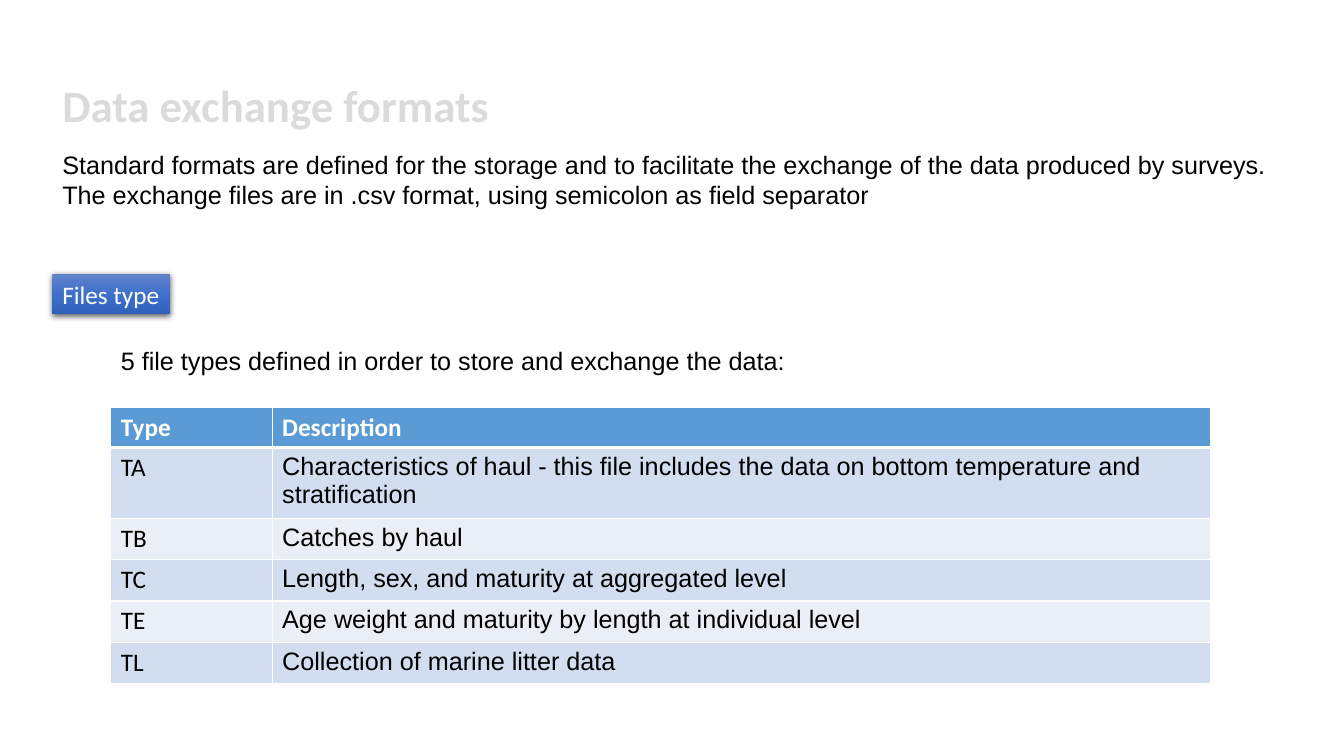
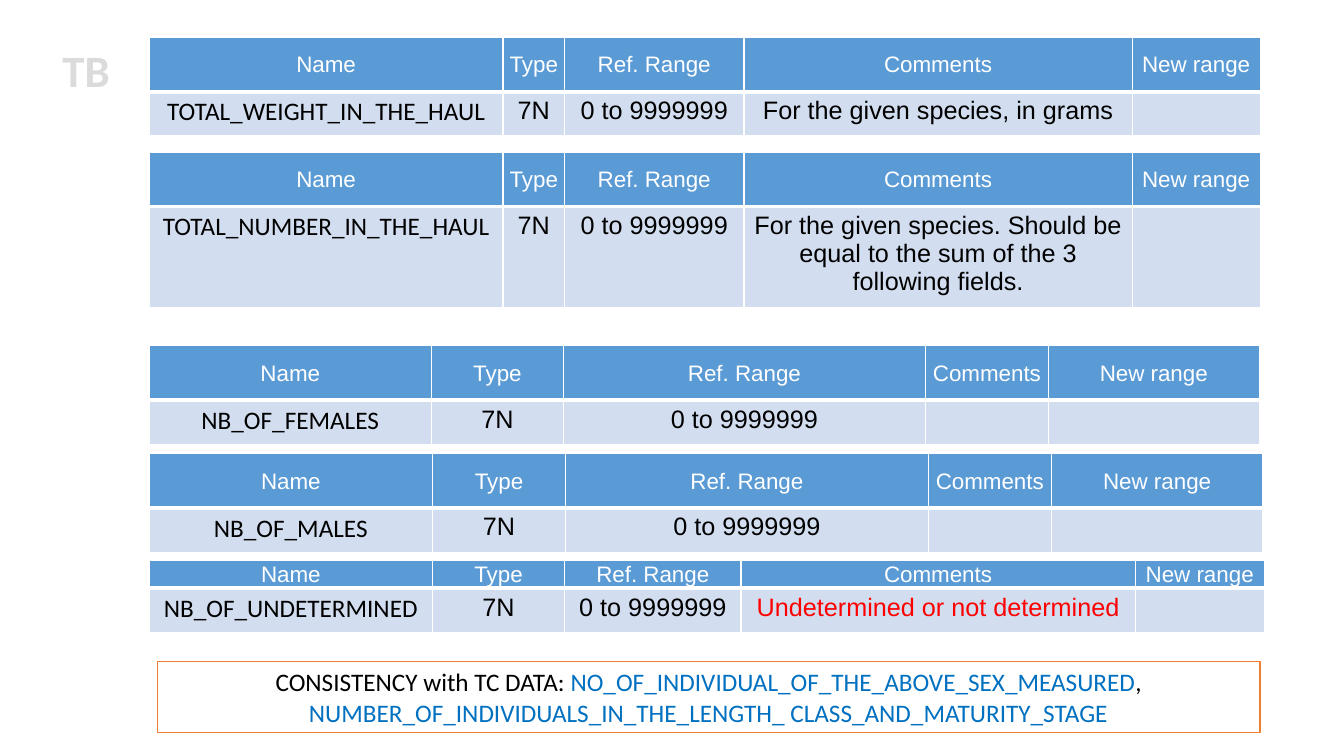
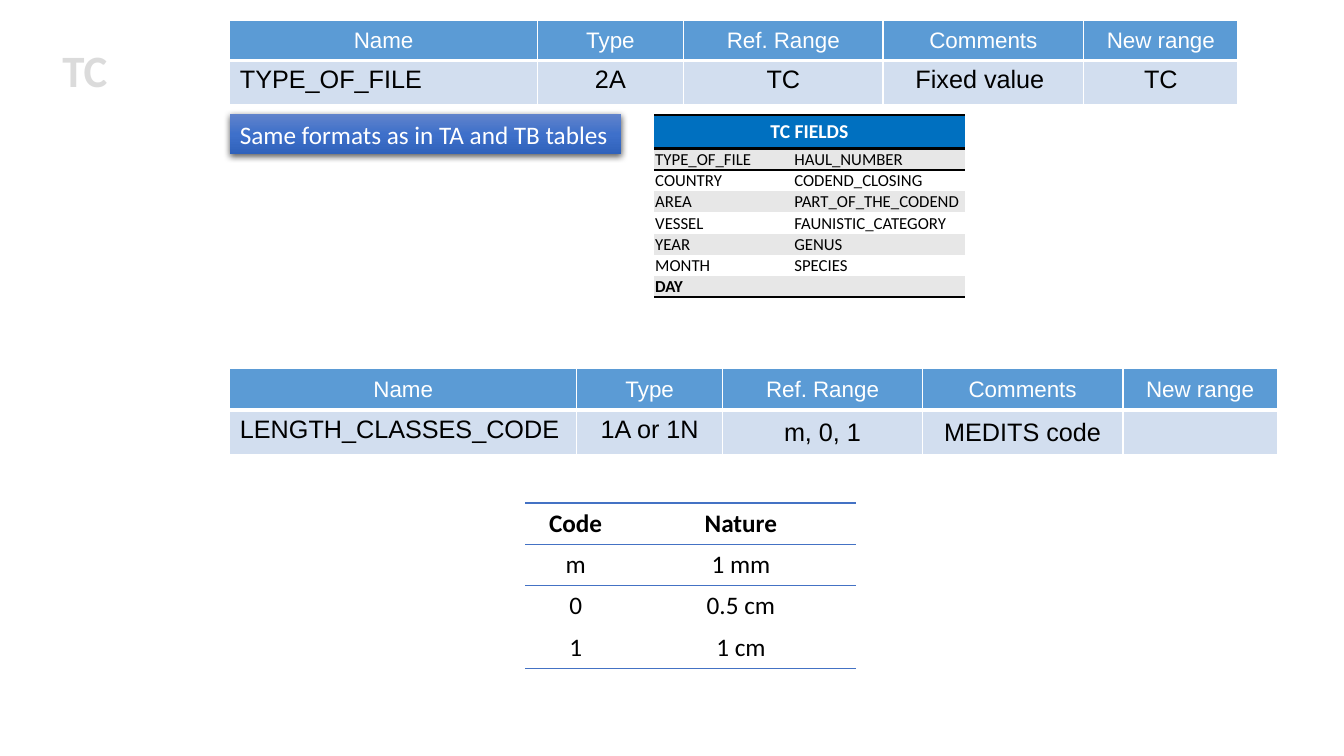
"""Build three slides on survey data exchange formats."""
import lxml.etree
import copy
import pptx
import pptx.util
import pptx.dml.color
import pptx.enum.shapes
import pptx.enum.text
import pptx.oxml.ns

qn = pptx.oxml.ns.qn
Pt = pptx.util.Pt
RGBColor = pptx.dml.color.RGBColor
LEFT = pptx.enum.text.PP_ALIGN.LEFT
CENTER = pptx.enum.text.PP_ALIGN.CENTER
TOP = pptx.enum.text.MSO_ANCHOR.TOP
MIDDLE = pptx.enum.text.MSO_ANCHOR.MIDDLE

WHITE = RGBColor(0xFF, 0xFF, 0xFF)
BLACK = RGBColor(0x00, 0x00, 0x00)
RED = RGBColor(0xFF, 0x00, 0x00)
TITLE_GREY = RGBColor(0xDB, 0xDB, 0xDB)
HEAD_BLUE = RGBColor(0x5B, 0x9B, 0xD5)
DARK_BAND = RGBColor(0xD2, 0xDE, 0xEF)
LIGHT_BAND = RGBColor(0xEA, 0xEF, 0xF7)
STRONG_BLUE = RGBColor(0x00, 0x70, 0xC0)
RULE_BLUE = RGBColor(0x44, 0x72, 0xC4)
GREY_BAND = RGBColor(0xE7, 0xE7, 0xE7)
ORANGE = RGBColor(0xED, 0x7D, 0x31)
BADGE_STOPS = [(0, RGBColor(0x61, 0x83, 0xCB)), (0.5, RGBColor(0x3E, 0x70, 0xCA)),
               (1, RGBColor(0x30, 0x62, 0xBB))]
NO_STYLE = "{2D5ABB26-0587-4C30-8999-92F81FD0307C}"

prs = pptx.Presentation()
prs.slide_width = pptx.util.Inches(13.33)
prs.slide_height = pptx.util.Inches(7.5)
COL = prs.slide_width / 100
ROW = prs.slide_height / 100


def write(tf, lines, size, font, bold=False, align=LEFT):
    for i, line in enumerate(lines):
        p = tf.add_paragraph() if i else tf.paragraphs[0]
        p.alignment = align
        for text, color in line:
            if not text:
                lxml.etree.SubElement(p._p, qn("a:endParaRPr"), sz=str(size * 100))
                continue
            r = p.add_run()
            r.text = text
            r.font.size = Pt(size)
            r.font.name = font
            r.font.bold = bold
            r.font.color.rgb = color


def add_grid(s, left, top, cols, rows):
    heights = [height for height, look, texts in rows]
    table = s.shapes.add_table(len(rows), len(cols), round(left * COL), round(top * ROW),
                               round(sum(cols) * COL), round(sum(heights) * ROW)).table
    table.first_row = table.horz_banding = False
    table._tbl.tblPr.find(qn("a:tableStyleId")).text = NO_STYLE
    for column, width in zip(table.columns, cols):
        column.width = round(width * COL)
    for row, (height, row_look, texts) in zip(table.rows, rows):
        row.height = round(height * ROW)
        for cell, item in zip(row.cells, texts):
            text, extra = item if isinstance(item, tuple) else (item, {})
            look = {**row_look, **extra}
            write(cell.text_frame, [[(text, look["color"])]], look["size"], look["font"],
                  look.get("bold", False), look.get("align", LEFT))
            cell.vertical_anchor = look.get("anchor", TOP)
            if look.get("tight"):
                cell.margin_left = cell.margin_right = cell.margin_top = pptx.util.Inches(0.01)
                cell.margin_bottom = 0
            tcPr = cell._tc.get_or_add_tcPr()
            edge_color, widths = look.get("edges", (BLACK, (0, 0, 0, 0)))
            for side, width in zip("LRTB", widths):
                if width:
                    ln = lxml.etree.SubElement(tcPr, qn("a:ln" + side), w=str(Pt(width)))
                    solid = lxml.etree.SubElement(ln, qn("a:solidFill"))
                    lxml.etree.SubElement(solid, qn("a:srgbClr"), val=str(edge_color))
            if "fill" in look:
                cell.fill.solid()
                cell.fill.fore_color.rgb = look["fill"]
            else:
                cell.fill.background()
    return table


formats, tb, tc = [prs.slides.add_slide(prs.slide_layouts[6]) for _ in range(3)]

labels = [
    (formats, "title", (3.9, 9.6, 40.5, 8.5), [[("Data exchange formats", TITLE_GREY)]]),
    (tb, "title", (3.9, 4.93, 6.6, 8.5), [[("TB", TITLE_GREY)]]),
    (tc, "title", (3.9, 4.93, 6.6, 8.5), [[("TC", TITLE_GREY)]]),
    (formats, "body", (3.9, 19.07, 92.78, 9.47), [
        [("Standard formats are defined for the storage and to facilitate the exchange "
          "of the data produced by surveys.", BLACK)],
        [("The exchange files are in .csv format, using semicolon as field separator", BLACK)]]),
    (formats, "body", (8.25, 45.07, 67.95, 5.33),
     [[("5 file types defined in order to store and exchange the data:", BLACK)]]),
    (formats, "badge", (3.9, 36.27, 8.78, 5.33), [[("Files type", WHITE)]]),
    (tc, "badge", (17.1, 15.07, 29.1, 5.33), [[("Same formats as in TA and TB tables", WHITE)]]),
    (tb, "note", (11.7, 87.47, 82.05, 9.47), [
        [("CONSISTENCY with TC DATA: ", BLACK),
         ("NO_OF_INDIVIDUAL_OF_THE_ABOVE_SEX_MEASURED", STRONG_BLUE), (",", BLACK)],
        [("NUMBER_OF_INDIVIDUALS_IN_THE_LENGTH_ CLASS_AND_MATURITY_STAGE", STRONG_BLUE)]]),
]
for s, kind, area, lines in labels:
    box = [round(share * unit) for share, unit in zip(area, (COL, ROW, COL, ROW))]
    if kind in ("title", "body"):
        sp = s.shapes.add_textbox(*box)
    else:
        sp = s.shapes.add_shape(pptx.enum.shapes.MSO_SHAPE.RECTANGLE, *box)
        sp.shadow.inherit = False
    if kind == "badge":
        sp.line.fill.background()
        sp.fill.gradient()
        sp.fill.gradient_angle = 270
        stops = sp._element.spPr.find(".//" + qn("a:gsLst"))
        stops.insert(1, copy.deepcopy(stops[0]))
        for stop, (position, color) in zip(sp.fill.gradient_stops, BADGE_STOPS):
            stop.position = position
            stop.color.rgb = color
        shadow = lxml.etree.SubElement(
            sp._element.spPr.find(qn("a:effectLst")), qn("a:outerShdw"), blurRad=str(Pt(4.5)),
            dist=str(Pt(1.5)), dir="5400000", algn="ctr", rotWithShape="0")
        black = lxml.etree.SubElement(shadow, qn("a:srgbClr"), val=str(BLACK))
        lxml.etree.SubElement(black, qn("a:alpha"), val="63000")
    if kind == "note":
        sp.fill.solid()
        sp.fill.fore_color.rgb = WHITE
        sp.line.color.rgb = ORANGE
        sp.line.width = Pt(1)
    sp.text_frame.word_wrap = kind != "badge"
    write(sp.text_frame, lines, 32 if kind == "title" else 18,
          "Arial" if kind == "body" else "Calibri", kind == "title",
          CENTER if kind == "note" else LEFT)

CALIBRI = dict(font="Calibri")
AT_LEFT = dict(align=LEFT)
TIGHT = dict(anchor=MIDDLE, tight=True)
HEAD = dict(size=16, font="Arial", color=WHITE, align=CENTER, fill=HEAD_BLUE,
            edges=(WHITE, (1, 1, 1, 3)), **TIGHT)
FIELD = dict(size=18, font="Arial", color=BLACK, align=CENTER, fill=DARK_BAND,
             edges=(WHITE, (1, 1, 3, 1)))

type_head = dict(size=18, font="Calibri", color=WHITE, bold=True, fill=HEAD_BLUE,
                 edges=(WHITE, (1, 1, 1, 3)))
type_rows = [(5.2, type_head, ["Type", "Description"])]
for i, (code, description) in enumerate([
        ("TA", "Characteristics of haul - this file includes the data on bottom temperature "
               "and stratification"),
        ("TB", "Catches by haul"),
        ("TC", "Length, sex, and maturity at aggregated level"),
        ("TE", "Age weight and maturity by length at individual level"),
        ("TL", "Collection of marine litter data")]):
    look = {**FIELD, "align": LEFT, "fill": LIGHT_BAND if i % 2 else DARK_BAND,
            "edges": (WHITE, (1, 1, 1 if i else 3, 1))}
    type_rows.append((5.47 if i else 9.2, look, [(code, CALIBRI), description]))
add_grid(formats, 8.25, 53.87, [12, 69.8], type_rows)

HEADINGS = ["Name", "Type", "Ref. Range", "Comments", "New range"]
RANGE = "0 to 9999999"
TOTAL_COLS = [26.33, 4.58, 13.35, 28.88, 9.53]
TC_COLS = [10.88, 14.85, 14.93, 11.48]
for s, left, top, cols, head_height, height, texts in [
    (tb, 11.1, 4.93, TOTAL_COLS, 7.2, 5.87,
     [("TOTAL_WEIGHT_IN_THE_HAUL", CALIBRI), "7N", RANGE, "For the given species, in grams", ""]),
    (tb, 11.1, 20.13, TOTAL_COLS, 7.2, 13.33,
     [("TOTAL_NUMBER_IN_THE_HAUL", CALIBRI), "7N", RANGE,
      "For the given species. Should be equal to the sum of the 3 following fields.", ""]),
    (tb, 11.1, 45.73, [21, 9.83, 26.93, 9.15, 15.68], 7.2, 5.87,
     [("NB_OF_FEMALES", CALIBRI), "7N", RANGE, "", ""]),
    (tb, 11.1, 60, [21.08, 9.9, 27, 9.15, 15.75], 7.2, 5.87,
     [("NB_OF_MALES", CALIBRI), "7N", RANGE, "", ""]),
    (tb, 11.1, 74.13, [21.08, 9.83, 13.13, 29.33, 9.6], 3.6, 5.87,
     [("NB_OF_UNDETERMINED", CALIBRI), "7N", RANGE,
      ("Undetermined or not determined", dict(color=RED)), ""]),
    (tc, 17.1, 2.67, [22.88] + TC_COLS, 5.33, 5.87,
     [("TYPE_OF_FILE", AT_LEFT), "2A", "TC", "Fixed value ", "TC"]),
    (tc, 17.1, 48.67, [25.8] + TC_COLS, 5.6, 5.87,
     [("LENGTH_CLASSES_CODE", AT_LEFT), "1A or 1N", ("m, 0, 1", TIGHT),
      ("MEDITS code", TIGHT), ""]),
]:
    add_grid(s, left, top, cols, [(head_height, HEAD, HEADINGS), (height, FIELD, texts)])

tc_head = dict(size=14, font="Calibri", color=WHITE, bold=True, align=CENTER, anchor=MIDDLE,
               fill=STRONG_BLUE, edges=(BLACK, (0, 0, 2, 2)))
tc_rows = [(4.45, tc_head, ["TC FIELDS", ""])]
for i, pair in enumerate([
        ["TYPE_OF_FILE", "HAUL_NUMBER"], ["COUNTRY", "CODEND_CLOSING"],
        ["AREA", "PART_OF_THE_CODEND"], ["VESSEL", "FAUNISTIC_CATEGORY"],
        ["YEAR", "GENUS"], ["MONTH", "SPECIES"], ["DAY", ""]]):
    last = pair[0] == "DAY"
    look = dict(size=12, font="Calibri", color=BLACK, bold=last,
                fill=WHITE if i % 2 else GREY_BAND,
                edges=(BLACK, (0, 0, 0 if i else 2, 2 if last else 0)), **TIGHT)
    tc_rows.append((2.81, look, pair))
fields = add_grid(tc, 48.68, 15.2, [10.35, 12.75], tc_rows)
fields.cell(0, 0).merge(fields.cell(0, 1))

code_rows = []
for pair, widths in [(["Code", "Nature"], (0, 0, 1, 1)), (["m", "1 mm"], (0, 0, 1, 0)),
                     (["0", "0.5 cm"], (0, 0, 0, 0)), (["1", "1 cm"], (0, 0, 0, 1))]:
    look = dict(size=18, font="Calibri", color=BLACK, bold=pair[0] == "Code", align=CENTER,
                edges=(RULE_BLUE, widths))
    code_rows.append((5.47, look, pair))
add_grid(tc, 39.08, 66.53, [7.5, 17.1], code_rows)

prs.save("out.pptx")
